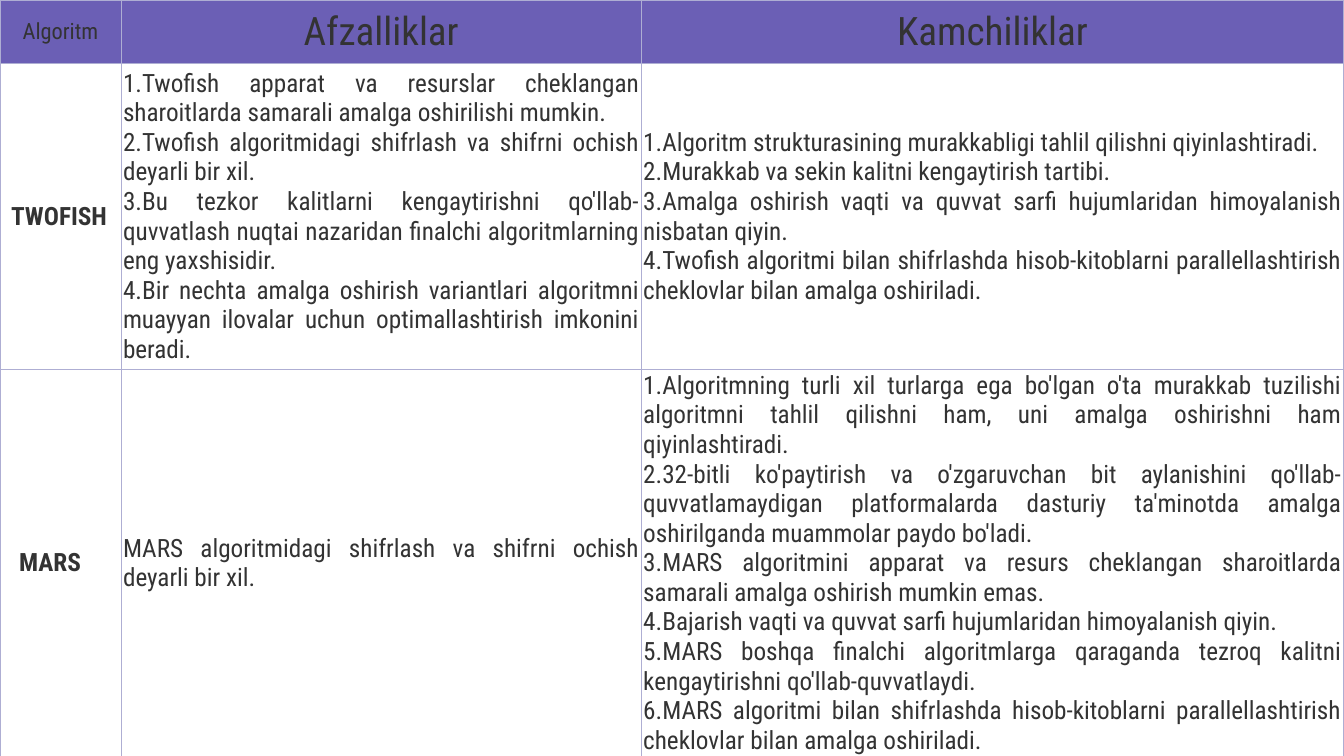
from dataclasses import dataclass

from lxml.etree import SubElement
from pptx import Presentation
from pptx.dml.color import RGBColor
from pptx.enum.text import MSO_ANCHOR, PP_ALIGN
from pptx.oxml.ns import qn
from pptx.util import Cm, Pt


@dataclass(frozen=True)
class Theme:
    font: str = "Roboto Condensed"
    ink: str = "333333"
    head: str = "6B5FB5"
    page: str = "FFFFFF"
    line: str = "AEAED3"
    small: int = 16
    large: int = 28
    body: int = 18
    rule: float = 0.75


THEME = Theme()
WIDTHS = (3.05, 13.11, 17.7)
HEIGHTS = (1.6, 7.72, 9.32)
HEADS = (
    ("Algoritm", THEME.small),
    ("Afzalliklar", THEME.large),
    ("Kamchiliklar", THEME.large),
)
ROWS = (
    ("TWOFISH", 0.23, (
        "Twofish apparat va resurslar cheklangan sharoitlarda samarali amalga oshirilishi mumkin.",
        "Twofish algoritmidagi shifrlash va shifrni ochish deyarli bir xil.",
        "Bu tezkor kalitlarni kengaytirishni qo'llab-quvvatlash nuqtai nazaridan finalchi algoritmlarning eng yaxshisidir.",
        "Bir nechta amalga oshirish variantlari algoritmni muayyan ilovalar uchun optimallashtirish imkonini beradi.",
    ), (
        "Algoritm strukturasining murakkabligi tahlil qilishni qiyinlashtiradi.",
        "Murakkab va sekin kalitni kengaytirish tartibi.",
        "Amalga oshirish vaqti va quvvat sarfi hujumlaridan himoyalanish nisbatan qiyin.",
        "Twofish algoritmi bilan shifrlashda hisob-kitoblarni parallellashtirish cheklovlar bilan amalga oshiriladi.",
    )),
    ("MARS", 0.43, (
        "MARS algoritmidagi shifrlash va shifrni ochish deyarli bir xil.",
    ), (
        "Algoritmning turli xil turlarga ega bo'lgan o'ta murakkab tuzilishi algoritmni tahlil qilishni ham, uni amalga oshirishni ham qiyinlashtiradi.",
        "32-bitli ko'paytirish va o'zgaruvchan bit aylanishini qo'llab-quvvatlamaydigan platformalarda dasturiy ta'minotda amalga oshirilganda muammolar paydo bo'ladi.",
        "MARS algoritmini apparat va resurs cheklangan sharoitlarda samarali amalga oshirish mumkin emas.",
        "Bajarish vaqti va quvvat sarfi hujumlaridan himoyalanish qiyin.",
        "MARS boshqa finalchi algoritmlarga qaraganda tezroq kalitni kengaytirishni qo'llab-quvvatlaydi.",
        "MARS algoritmi bilan shifrlashda hisob-kitoblarni parallellashtirish cheklovlar bilan amalga oshiriladi.",
    )),
)


def write(para, text, *, size=THEME.body, bold=False, align=PP_ALIGN.LEFT,
          inset=0, count=False):
    para.alignment = align
    props = para._p.get_or_add_pPr()
    props.set("marL", str(Cm(inset)))
    props.set("indent", "0")
    if count:
        SubElement(props, qn("a:buFont"), typeface=THEME.font)
        SubElement(props, qn("a:buAutoNum"), type="arabicPeriod")
    run = para.add_run()
    run.text = text
    font = run.font
    font.name = THEME.font
    font.size = Pt(size)
    font.bold = bold
    font.color.rgb = RGBColor.from_string(THEME.ink)


def frame(cell):
    props = cell._tc.get_or_add_tcPr()
    for side in "LRTB":
        edge = SubElement(props, qn(f"a:ln{side}"), w=str(Pt(THEME.rule)))
        fill = SubElement(edge, qn("a:solidFill"))
        SubElement(fill, qn("a:srgbClr"), val=THEME.line)


def fill_cell(cell, lines, *, fill=THEME.page, **style):
    frame(cell)
    cell.fill.solid()
    cell.fill.fore_color.rgb = RGBColor.from_string(fill)
    cell.vertical_anchor = MSO_ANCHOR.MIDDLE
    cell.margin_left = cell.margin_right = Cm(0.05)
    cell.margin_top = cell.margin_bottom = Cm(0.03)
    text = cell.text_frame
    for place, line in enumerate(lines):
        para = text.add_paragraph() if place else text.paragraphs[0]
        write(para, line, **style)


def add_grid(slide):
    grid = slide.shapes.add_table(
        len(HEIGHTS), len(WIDTHS), 0, 0, Cm(sum(WIDTHS)), Cm(sum(HEIGHTS))
    ).table
    grid.first_row = grid.horz_banding = False
    for col, width in zip(grid.columns, WIDTHS):
        col.width = Cm(width)
    for row, height in zip(grid.rows, HEIGHTS):
        row.height = Cm(height)
    return grid


def main():
    deck = Presentation()
    deck.slide_width, deck.slide_height = Cm(33.87), Cm(19.05)
    slide = deck.slides.add_slide(deck.slide_layouts[6])
    grid = add_grid(slide)
    for col, (head, size) in enumerate(HEADS):
        fill_cell(grid.cell(0, col), [head], fill=THEME.head, size=size,
                  align=PP_ALIGN.CENTER)
    for row, (name, inset, pros, cons) in enumerate(ROWS, 1):
        fill_cell(grid.cell(row, 0), [name], bold=True, inset=inset)
        for col, lines in enumerate((pros, cons), 1):
            fill_cell(grid.cell(row, col), lines, align=PP_ALIGN.JUSTIFY,
                      count=len(lines) > 1)
    deck.save("out.pptx")


if __name__ == "__main__":
    main()
